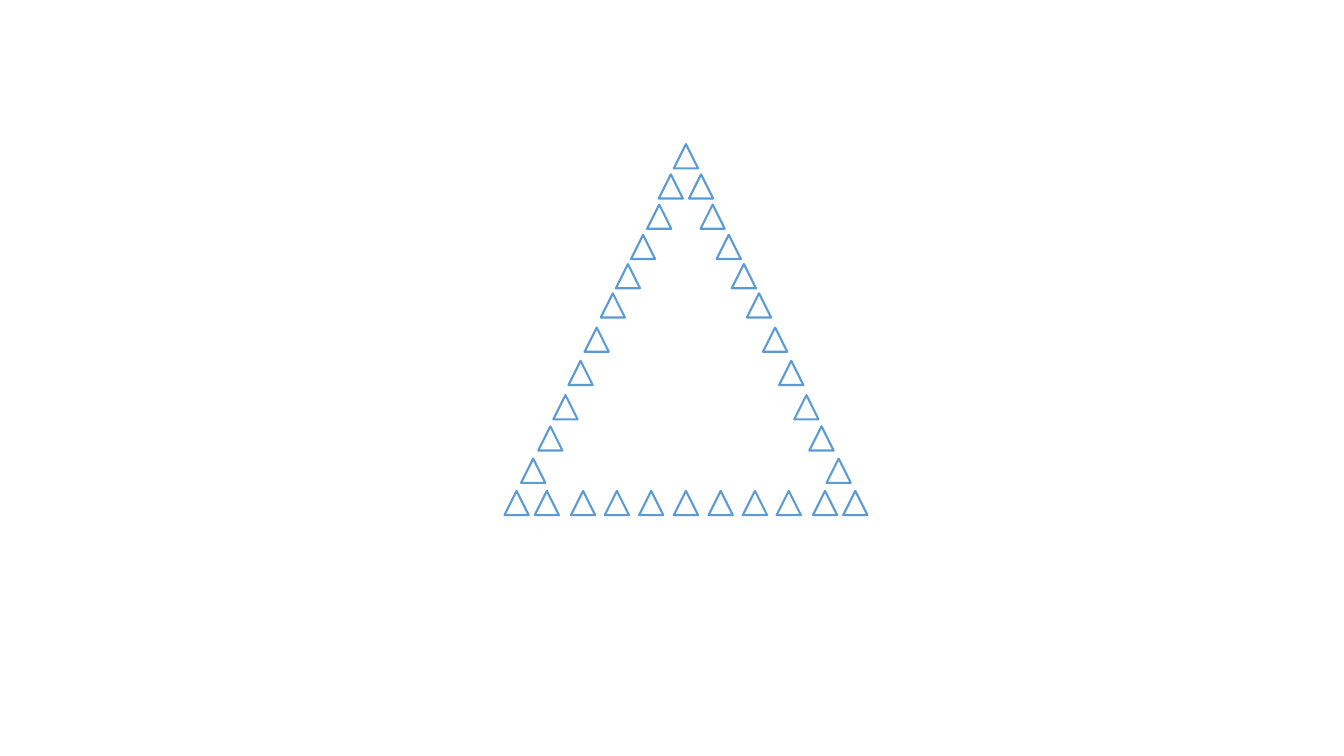
import dataclasses

import pptx
import pptx.dml.color
import pptx.enum.shapes
import pptx.shapes.group
import pptx.util

COLORS = {"outline": "5B9BD5"}

# Grid of tenth-inch cells
CELL = 0.1
COLUMNS, ROWS = 133.33, 75
AXIS = 68.05
MARK_SIDE = 2.4
OUTLINE_WIDTH = 1.5


@dataclasses.dataclass(frozen=True)
class Tier:
    """Marks on one row, by their distance in columns from the axis."""
    row: float
    offsets: tuple[float, ...]


# The apex, the two slopes and the base of the large triangle
TIERS = (
    Tier(14.3, (0,)),
    Tier(17.3, (1.5,)),
    Tier(20.3, (2.65,)),
    Tier(23.3, (4.25,)),
    Tier(26.2, (5.75,)),
    Tier(29.1, (7.25,)),
    Tier(32.5, (8.85,)),
    Tier(35.8, (10.45,)),
    Tier(39.2, (11.95,)),
    Tier(42.3, (13.45,)),
    Tier(45.5, (15.15,)),
    Tier(48.7, (0, 3.45, 6.85, 10.2, 13.8, 16.8)),
)


def cells(count: float) -> pptx.util.Length:
    return pptx.util.Inches(count * CELL)


def draw_mark(figure: pptx.shapes.group.GroupShape, center: float, row: float) -> None:
    mark = figure.shapes.add_shape(
        pptx.enum.shapes.MSO_SHAPE.ISOSCELES_TRIANGLE,
        cells(center - MARK_SIDE / 2), cells(row), cells(MARK_SIDE), cells(MARK_SIDE))
    mark.shadow.inherit = False
    mark.fill.background()
    mark.line.color.rgb = pptx.dml.color.RGBColor.from_string(COLORS["outline"])
    mark.line.width = pptx.util.Pt(OUTLINE_WIDTH)


def draw_tier(figure: pptx.shapes.group.GroupShape, tier: Tier) -> None:
    # Mirror each offset about the axis; a zero offset gives one mark
    mirrored = {side * offset for offset in tier.offsets for side in (-1, 1)}
    for offset in sorted(mirrored):
        draw_mark(figure, AXIS + offset, tier.row)


def main() -> None:
    deck = pptx.Presentation()
    deck.slide_width, deck.slide_height = cells(COLUMNS), cells(ROWS)
    slide = deck.slides.add_slide(deck.slide_layouts[6])

    # Large triangle made of small ones
    figure = slide.shapes.add_group_shape()
    for tier in TIERS:
        draw_tier(figure, tier)

    deck.save("out.pptx")


if __name__ == "__main__":
    main()
